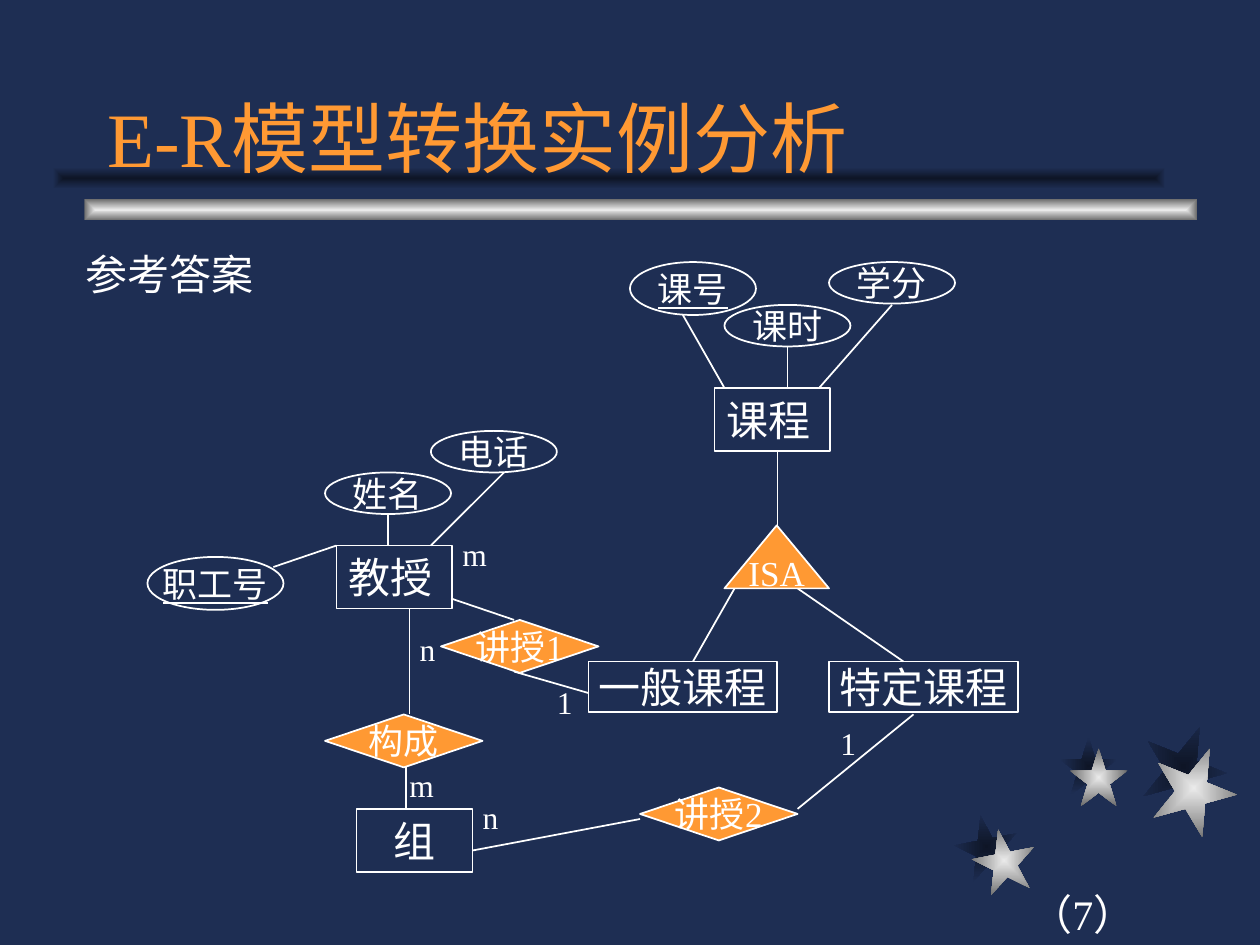
from lxml import etree
from pptx import Presentation
from pptx.dml.color import RGBColor
from pptx.enum.shapes import MSO_CONNECTOR, MSO_SHAPE as SHAPE
from pptx.enum.text import MSO_ANCHOR as ANCHOR, PP_ALIGN as ALIGN
from pptx.oxml import parse_xml
from pptx.oxml.ns import nsdecls, qn
from pptx.util import Inches, Pt


class Theme:
    font = "Times New Roman"
    bg = RGBColor.from_string("1E2E53")
    ink = RGBColor.from_string("FFFFFF")
    accent = RGBColor.from_string("FF9933")
    silver = ("EAEAEA", "6C6C6C")  # centre, edge
    shade = ("0E1526", "1E2E53")
    title, entity, attribute, label = 44, 24, 20, 18
    line = 1


# Content: positions in inches
TITLE = "E-R模型转换实例分析"
NOTES = [("参考答案", 0.58, 1.92, 2.92), ("（7）", 8.08, 7, 1.67)]

# text, left, top
ENTITIES = [("教授", 2.67, 4.33, ALIGN.LEFT), ("课程", 5.67, 3.08, ALIGN.LEFT),
            ("组", 2.83, 6.42, ALIGN.CENTER)]
SUBTYPES = [("一般课程", 4.67, 5.25), ("特定课程", 6.58, 5.25)]
RELATIONS = [("构成", 2.58, 5.67), ("讲授1", 3.5, 4.92), ("讲授2", 5.08, 6.25)]
KEYS = [("职工号", 1.17, 4.42, 1.08), ("课号", 5, 2.08, 1)]
ATTRIBUTES = [("姓名", 2.58, 3.75), ("电话", 3.42, 3.42),
              ("课时", 5.75, 2.42), ("学分", 6.58, 2.08)]
CARDINALITIES = [("m", 3.67, 4.25), ("n", 3.33, 5), ("1", 4.42, 5.42),
                 ("m", 3.25, 6.08), ("n", 3.83, 6.33), ("1", 6.67, 5.75)]
LINKS = [
    # attributes of 教授 and 课程
    (2.17, 4.5, 2.67, 4.33), (3.08, 4.08, 3.08, 4.33), (4, 3.75, 3.42, 4.33),
    (5.42, 2.5, 5.75, 3.08), (6.25, 2.75, 6.25, 3.08), (7.08, 2.42, 6.5, 3.08),
    # ISA hierarchy
    (6.17, 3.58, 6.17, 4.17), (5.83, 4.67, 5.5, 5.25), (6.33, 4.67, 7.17, 5.25),
    # relationships
    (3.25, 5.67, 3.25, 4.83), (3.22, 6.08, 3.22, 6.42),
    (3.58, 4.75, 4.08, 4.92), (4.08, 5.33, 4.67, 5.5),
    (3.75, 6.75, 5.08, 6.5), (6.33, 6.42, 7.25, 5.67),
]
# shade left, top, silver left, top, size, rotation
STARS = [(7.58, 6.47, 7.72, 6.58, 0.5, 349), (8.41, 5.85, 8.49, 5.94, 0.46, 0),
         (9.06, 5.75, 9.14, 5.92, 0.67, 22)]

prs = Presentation()
prs.slide_width, prs.slide_height = Inches(10), Inches(7.5)
slide = prs.slides.add_slide(prs.slide_layouts[5])
slide.background.fill.solid()
slide.background.fill.fore_color.rgb = Theme.bg


def set_text(sp, text, size, color=Theme.ink, align=ALIGN.LEFT,
             anchor=ANCHOR.TOP, inset=True, wrap=True, underline=None):
    tf = sp.text_frame
    tf.word_wrap, tf.vertical_anchor = wrap, anchor
    tf.margin_left = tf.margin_right = Inches(0.1 if inset else 0)
    tf.margin_top = tf.margin_bottom = Inches(0.05 if inset else 0)
    p = tf.paragraphs[0]
    p.text, p.alignment = text, align
    p.font.name, p.font.size = Theme.font, Pt(size)
    p.font.color.rgb, p.font.underline = color, underline


def add_shape(kind, x, y, w, h):
    sp = slide.shapes.add_shape(kind, *map(Inches, (x, y, w, h)))
    sp.shadow.inherit = False
    return sp


def add_ornament(kind, x, y, w, h, colors, rotation=0):
    sp = add_shape(kind, x, y, w, h)
    sp.rotation = rotation
    sp.line.fill.background()
    sp.fill.gradient()
    for stop, color in zip(sp.fill.gradient_stops, colors):
        stop.color.rgb = RGBColor.from_string(color)
    # Turn the linear gradient into a rectangular one
    lin = sp.element.spPr.find(qn("a:gradFill")).find(qn("a:lin"))
    lin.getparent().replace(lin, parse_xml(
        f'<a:path {nsdecls("a")} path="rect">'
        '<a:fillToRect l="50000" t="50000" r="50000" b="50000"/></a:path>'))


def add_node(kind, text, x, y, w, h, size, fill=None, **style):
    sp = add_shape(kind, x, y, w, h)
    if fill is None:
        sp.fill.background()
    else:
        sp.fill.solid()
        sp.fill.fore_color.rgb = fill
    sp.line.color.rgb, sp.line.width = Theme.ink, Pt(Theme.line)
    set_text(sp, text, size, **style)


def add_label(text, x, y, w, h, size, **style):
    set_text(slide.shapes.add_textbox(*map(Inches, (x, y, w, h))), text, size, **style)


# Decoration: stars, then the rule under the title
for sx, sy, x, y, size, rotation in STARS:
    add_ornament(SHAPE.STAR_5_POINT, sx, sy, size, size, Theme.shade, rotation)
for _, _, x, y, size, rotation in STARS:
    add_ornament(SHAPE.STAR_5_POINT, x, y, size, size, Theme.silver, rotation)
add_ornament(SHAPE.RECTANGLE, 0.67, 1.58, 8.83, 0.17, Theme.silver)
add_ornament(SHAPE.RECTANGLE, 0.42, 1.33, 8.83, 0.17, Theme.shade)

# Title, moved in front of the decoration
title = slide.shapes.title
title.left, title.top, title.width, title.height = map(Inches, (0.75, 0.25, 8.5, 1.25))
set_text(title, TITLE, Theme.title, Theme.accent, anchor=ANCHOR.BOTTOM)
slide.shapes.element.append(title.element)

# Links
for ends in LINKS:
    link = slide.shapes.add_connector(MSO_CONNECTOR.STRAIGHT, *map(Inches, ends))
    link.line.color.rgb, link.line.width = Theme.ink, Pt(Theme.line)
    etree.SubElement(link.element.spPr, qn("a:effectLst"))

# Entities and subtypes
for text, x, y, align in ENTITIES:
    add_node(SHAPE.RECTANGLE, text, x, y, 0.92, 0.5, Theme.entity, align=align)
for text, x, y in SUBTYPES:
    add_node(SHAPE.RECTANGLE, text, x, y, 1.5, 0.4, Theme.entity,
             align=ALIGN.CENTER, inset=False)

# Attributes, relationships and the ISA triangle
centred = dict(align=ALIGN.CENTER, anchor=ANCHOR.MIDDLE, wrap=False)
for text, x, y, w in KEYS:
    add_node(SHAPE.OVAL, text, x, y, w, 0.42, Theme.attribute, underline=True, **centred)
for text, x, y in ATTRIBUTES:
    add_node(SHAPE.OVAL, text, x, y, 1, 0.33, Theme.attribute, **centred)
for text, x, y in RELATIONS:
    add_node(SHAPE.FLOWCHART_DECISION, text, x, y, 1.25, 0.42, Theme.attribute,
             fill=Theme.accent, **centred)
add_node(SHAPE.FLOWCHART_EXTRACT, "ISA", 5.75, 4.17, 0.83, 0.5, Theme.attribute,
         fill=Theme.accent, **centred)

# Cardinalities and notes
for text, x, y in CARDINALITIES:
    add_label(text, x, y, 0.17, 0.3, Theme.label, inset=False)
for text, x, y, w in NOTES:
    add_label(text, x, y, w, 0.5, Theme.entity)

prs.save("out.pptx")
